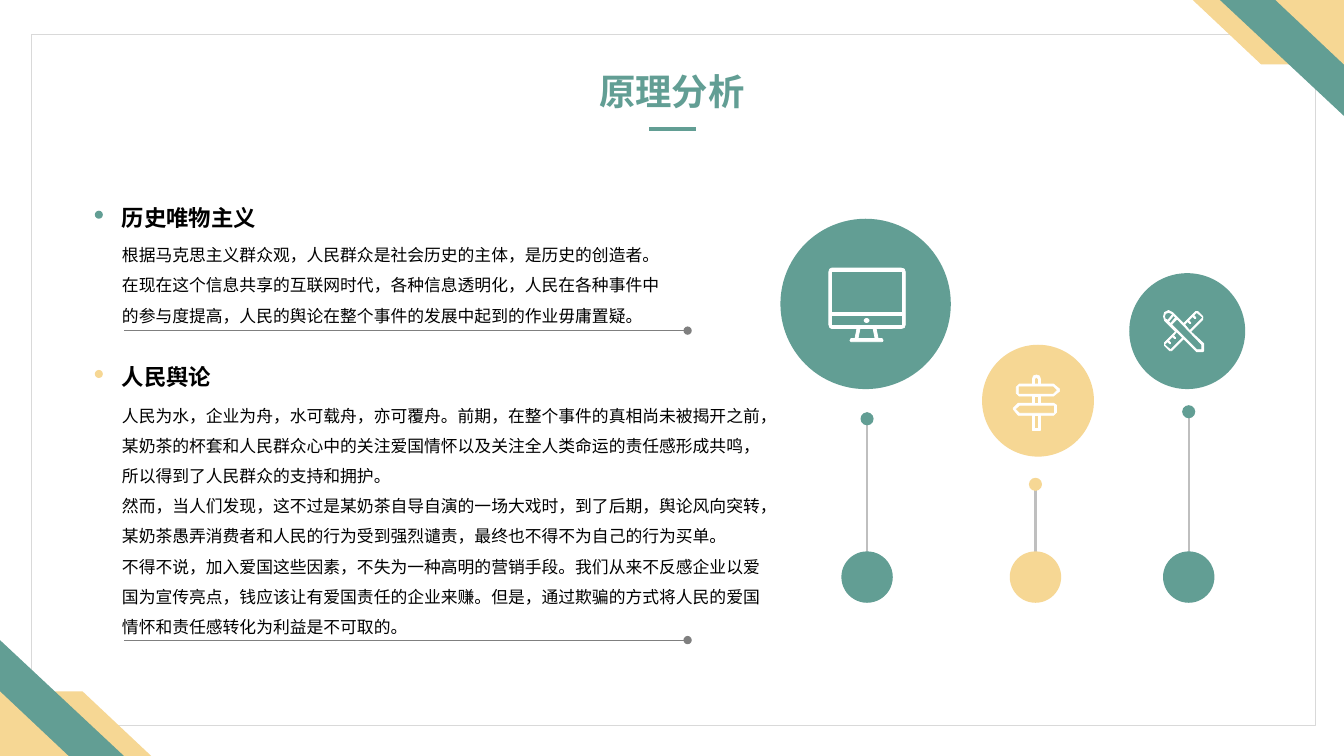
from lxml import etree
from pptx import Presentation
from pptx.dml.color import RGBColor
from pptx.enum.shapes import MSO_CONNECTOR, MSO_SHAPE
from pptx.enum.text import MSO_ANCHOR, MSO_AUTO_SIZE, PP_ALIGN
from pptx.oxml.ns import qn
from pptx.util import Inches, Pt

OVAL, RECT = MSO_SHAPE.OVAL, MSO_SHAPE.RECTANGLE
STRAIGHT = MSO_CONNECTOR.STRAIGHT
TOP, NO_FIT = MSO_ANCHOR.TOP, MSO_AUTO_SIZE.NONE
LEFT, CENTER = PP_ALIGN.LEFT, PP_ALIGN.CENTER

WIDTH, HEIGHT = 13.33, 7.5
COLORS = {"green": "629E94", "yellow": "F6D794", "frame": "D9D9D9", "stem": "BFBFBF",
          "rule": "7F7F7F", "text": "000000", "white": "FFFFFF"}
TITLE_FONT = {"size": Pt(26), "bold": True, "name": "Arial"}
HEADING_FONT = {"size": Pt(16), "bold": True, "name": "Arial"}
BODY_FONT = {"size": Pt(12), "bold": False, "name": "Arial"}


class SlideBuilder:
    def __init__(self, slide, colors):
        self.slide = slide
        self.shapes = slide.shapes
        self.colors = colors

    def rgb(self, color):
        return RGBColor.from_string(self.colors[color])

    def paint(self, shape, fill=None, line=None, weight=1.0):
        shape.shadow.inherit = False
        if fill:
            shape.fill.solid()
            shape.fill.fore_color.rgb = self.rgb(fill)
        else:
            shape.fill.background()
        if line:
            shape.line.color.rgb = self.rgb(line)
            shape.line.width = Pt(weight)
        else:
            shape.line.fill.background()

    def preset(self, kind, left, top, width, height, **style):
        shape = self.shapes.add_shape(kind, *map(Inches, (left, top, width, height)))
        self.paint(shape, **style)

    def circle(self, left, top, size, color):
        self.preset(OVAL, left, top, size, size, fill=color)

    def outline(self, contours, **style):
        """Draw closed contours, given in inches, as one freeform."""
        contours = [[(Inches(x), Inches(y)) for x, y in points] for points in contours]
        builder = self.shapes.build_freeform(*contours[0][0], scale=1.0)
        for index, points in enumerate(contours):
            if index:
                builder.move_to(*points[0])
            builder.add_line_segments(points[1:], close=True)
        self.paint(builder.convert_to_shape(), **style)

    def icon(self, left, top, contours):
        """Draw an icon whose points are hundredths of an inch from its corner."""
        placed = [[(left + x / 100, top + y / 100) for x, y in points] for points in contours]
        self.outline(placed, fill="white", line="white", weight=0.5)

    def line(self, start, end, color, weight, dot_end=False):
        connector = self.shapes.add_connector(STRAIGHT, *map(Inches, (*start, *end)))
        connector.line.color.rgb = self.rgb(color)
        connector.line.width = Pt(weight)
        if dot_end:
            etree.SubElement(connector.line._get_or_add_ln(), qn("a:tailEnd"), type="oval")
        etree.SubElement(connector._element.spPr, qn("a:effectLst"))

    def text(self, index, box, paragraphs, font, color="text", align=LEFT, spacing=1.0):
        holder = self.slide.placeholders[index]
        holder.left, holder.top, holder.width, holder.height = map(Inches, box)
        frame = holder.text_frame
        frame.text = "\n".join(paragraphs)
        for name, value in {"word_wrap": True, "auto_size": NO_FIT,
                            "vertical_anchor": TOP}.items():
            setattr(frame, name, value)
        layout = {"alignment": align, "line_spacing": spacing,
                  "space_before": Pt(0), "space_after": Pt(0)}
        for paragraph in frame.paragraphs:
            for name, value in layout.items():
                setattr(paragraph, name, value)
            properties = paragraph._p.get_or_add_pPr()
            properties.set("marL", "0")
            properties.set("indent", "0")
            etree.SubElement(properties, qn("a:buNone"))
            for run in paragraph.runs:
                for name, value in font.items():
                    setattr(run.font, name, value)
                run.font.color.rgb = self.rgb(color)


def box(left, top, right, bottom):
    return [(left, top), (right, top), (right, bottom), (left, bottom)]


MONITOR = [
    [(72, 0), (3, 0), (1, 1), (0, 4), (0, 56), (1, 59), (3, 60), (28, 60), (26, 70), (22, 70),
     (21, 72), (22, 73), (53, 73), (54, 72), (53, 70), (49, 70), (47, 60), (72, 60),
     (75, 59), (76, 56), (76, 4), (75, 1)],
    [(29, 70), (31, 60), (44, 60), (46, 70)],
    box(3, 47, 73, 57),
    box(3, 3, 73, 44),
]
SIGNPOST = [
    [(41, 10), (40, 9), (27, 9), (27, 4), (26, 1), (23, 0), (20, 1), (19, 4), (19, 9), (6, 9),
     (3, 12), (3, 18), (6, 21), (19, 21), (19, 28), (5, 28), (0, 33), (0, 34), (5, 40),
     (19, 40), (19, 55), (27, 55), (27, 40), (40, 40), (43, 37), (43, 30), (40, 28),
     (27, 28), (27, 21), (40, 21), (41, 20), (46, 16), (46, 14)],
    [(21, 4), (23, 2), (25, 4), (25, 9), (21, 9)],
    box(21, 40, 25, 53),
    [(41, 30), (41, 38), (6, 38), (2, 34), (6, 30)],
    box(21, 21, 25, 28),
    [(40, 19), (5, 19), (5, 11), (40, 11), (44, 15)],
]
PENCIL_AND_RULER = [
    [(39, 41), (40, 40), (40, 33), (27, 21), (39, 9), (39, 6), (34, 1), (32, 1), (20, 13),
     (9, 2), (5, 0), (1, 2), (0, 6), (1, 10), (12, 21), (1, 32), (1, 35), (6, 40), (8, 40),
     (20, 28), (32, 40), (33, 41)],
    [(24, 11), (26, 13), (27, 13), (27, 12), (25, 10), (29, 6), (31, 8), (32, 8), (32, 7),
     (30, 5), (33, 2), (39, 7), (26, 20), (21, 14)],
    [(3, 9), (2, 9), (1, 6), (2, 3), (5, 2), (8, 3), (9, 4), (4, 10)],
    [(5, 11), (10, 5), (12, 7), (7, 13)],
    [(7, 39), (1, 34), (4, 31), (6, 33), (7, 33), (7, 32), (5, 30), (9, 26), (11, 28),
     (12, 28), (12, 27), (10, 25), (13, 21), (19, 27)],
    [(38, 39), (33, 39), (8, 14), (13, 9), (14, 9), (38, 34)],
]
# Bands of the lower left corner; the upper right one is the same, turned by half
CORNER_BANDS = [
    ("yellow", [(0, 6.86), (0.82, 6.86), (1.5, 7.5), (0, 7.5)]),
    ("green", [(0, 6.35), (1.23, 7.5), (0, 7.5)]),
    ("yellow", [(0, 6.86), (0.68, 7.5), (0, 7.5)]),
]
# Placeholder index, heading, heading top, body box, dot colour, dot top, rule height, body
SECTIONS = [
    (1, "历史唯物主义", 1.97, (1.11, 2.28, 5.69, 0.97), "green", 2.09, 3.28, [
        "根据马克思主义群众观，人民群众是社会历史的主体，是历史的创造者。在现在这个信息共享的互联网时代，"
        "各种信息透明化，人民在各种事件中的参与度提高，人民的舆论在整个事件的发展中起到的作业毋庸置疑。"]),
    (3, "人民舆论", 3.55, (1.11, 3.87, 6.62, 2.79), "yellow", 3.67, 6.35, [
        "人民为水，企业为舟，水可载舟，亦可覆舟。前期，在整个事件的真相尚未被揭开之前，某奶茶的杯套和"
        "人民群众心中的关注爱国情怀以及关注全人类命运的责任感形成共鸣，所以得到了人民群众的支持和拥护。",
        "然而，当人们发现，这不过是某奶茶自导自演的一场大戏时，到了后期，舆论风向突转，"
        "某奶茶愚弄消费者和人民的行为受到强烈谴责，最终也不得不为自己的行为买单。",
        "不得不说，加入爱国这些因素，不失为一种高明的营销手段。我们从来不反感企业以爱国为宣传亮点，"
        "钱应该让有爱国责任的企业来赚。但是，通过欺骗的方式将人民的爱国情怀和责任感转化为利益是不可取的。"]),
]
# Colour, big circle (left, top, size), stem x, stem top, small dot top, icon and its place
PILLARS = [
    ("green", (7.74, 2.17, 1.69), 8.6, 4.09, 4.09, (8.22, 2.66, MONITOR)),
    ("yellow", (9.74, 3.42, 1.11), 10.27, 4.82, 4.74, (10.05, 3.72, SIGNPOST)),
    ("green", (11.2, 2.71, 1.15), 11.79, 4.09, 4.02, (11.54, 3.08, PENCIL_AND_RULER)),
]


def main():
    deck = Presentation()
    deck.slide_width, deck.slide_height = Inches(WIDTH), Inches(HEIGHT)
    page = SlideBuilder(deck.slides.add_slide(deck.slide_layouts[4]), COLORS)

    # Frame and corners
    page.preset(RECT, 0.31, 0.34, 12.74, 6.86, line="frame")
    for color, points in CORNER_BANDS:
        page.outline([points], fill=color)
        page.outline([[(WIDTH - x, HEIGHT - y) for x, y in points]], fill=color)

    # Title
    page.text(0, (4.56, 0.64, 4.21, 0.54), ["原理分析"], TITLE_FONT, "green", CENTER)
    page.line((6.44, 1.28), (6.9, 1.28), "green", 3)

    # Pillars with icons
    for color, big_circle, stem_x, stem_top, dot_top, icon in PILLARS:
        page.circle(*big_circle, color)
        page.line((stem_x, stem_top), (stem_x, 5.62), "stem", 1.5)
        page.circle(stem_x - 0.255, 5.47, 0.51, color)
        page.circle(stem_x - 0.065, dot_top, 0.13, color)
        page.icon(*icon)
    page.preset(OVAL, 8.57, 3.16, 0.05, 0.04, fill="white", line="white", weight=0.5)

    # Text sections
    for index, heading, heading_top, body_box, color, dot_top, rule_y, body in SECTIONS:
        page.circle(0.94, dot_top, 0.08, color)
        page.text(index, (1.11, heading_top, 1.8, 0.37), [heading], HEADING_FONT)
        page.text(index + 1, body_box, body, BODY_FONT, spacing=1.5)
        page.line((1.23, rule_y), (6.82, rule_y), "rule", 0.5, dot_end=True)

    deck.save("out.pptx")


if __name__ == "__main__":
    main()
